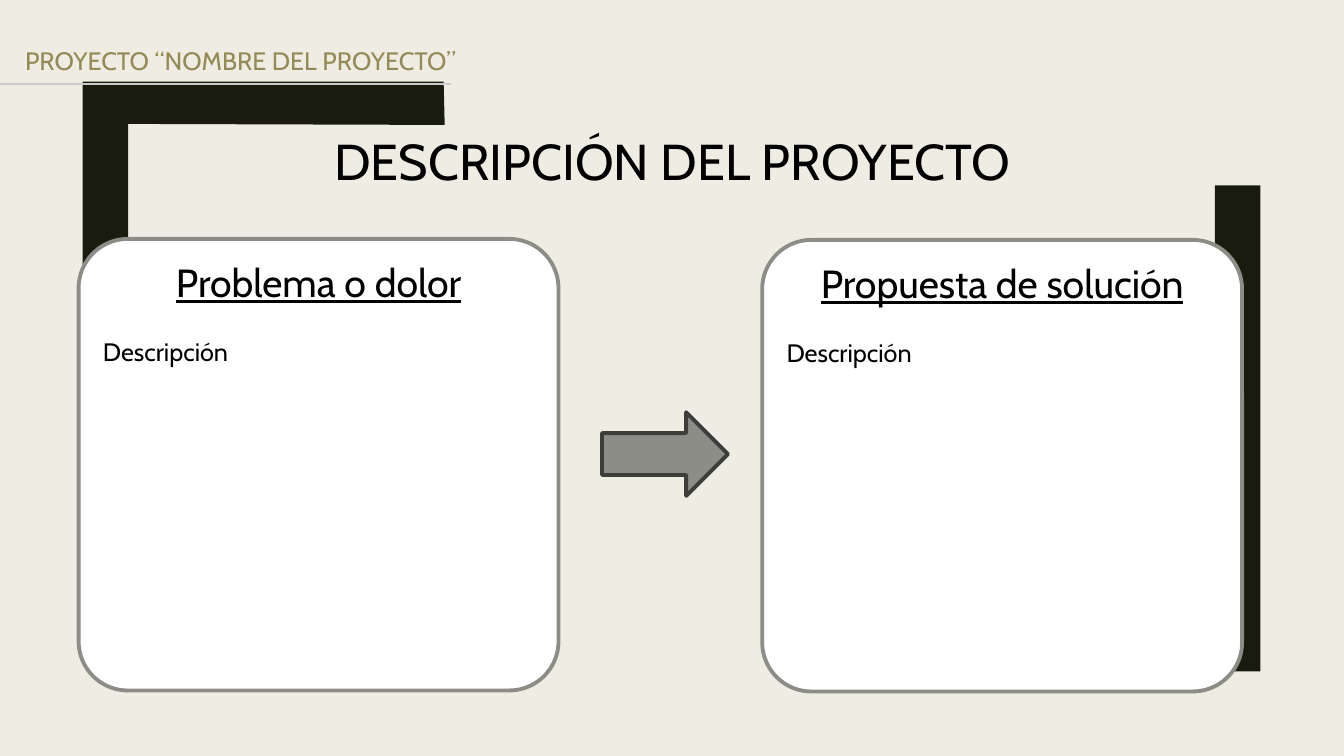
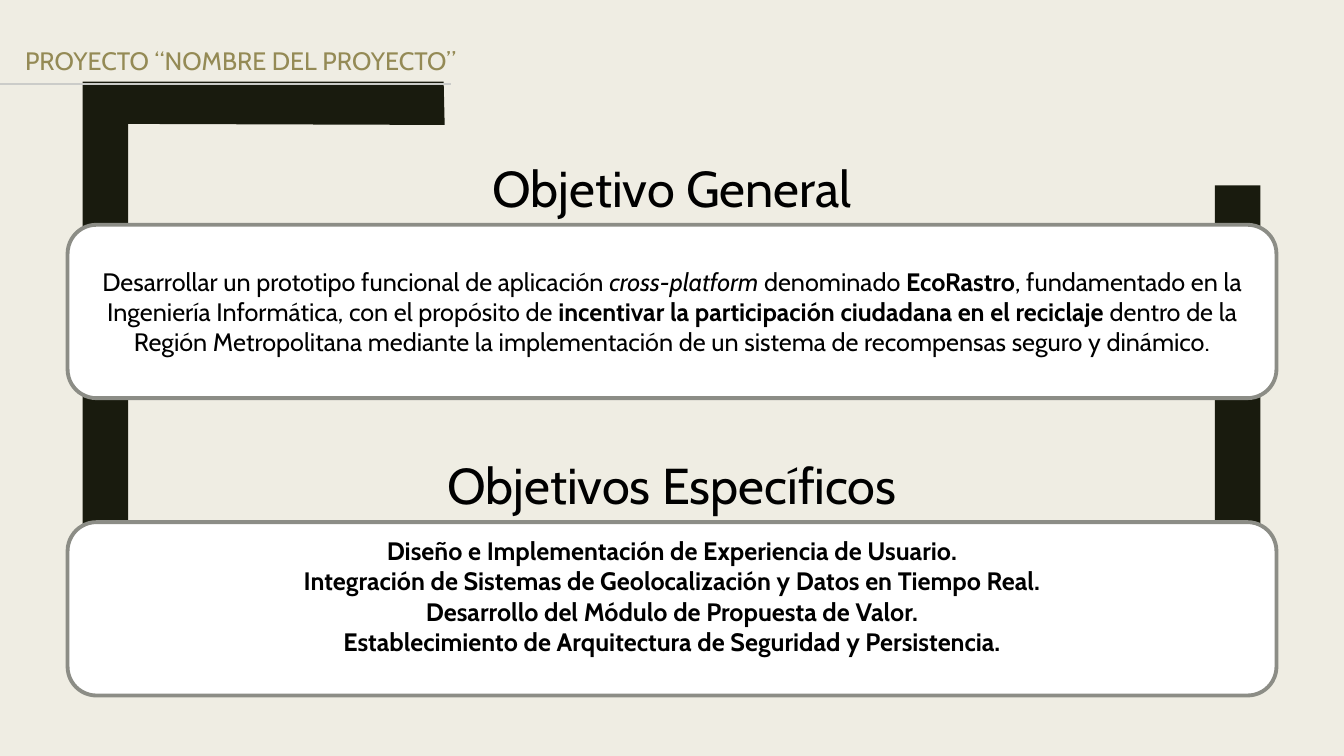
from dataclasses import dataclass
from typing import NamedTuple

from lxml import etree
from pptx import Presentation
from pptx import util as u
from pptx.dml.color import RGBColor
from pptx.enum import shapes, text
from pptx.oxml import ns

I = u.Inches
ALIGN = text.PP_ALIGN
ANCHOR = text.MSO_ANCHOR
SHAPE = shapes.MSO_SHAPE


@dataclass(frozen=True)
class Theme:
    font: str = "Cabin"
    background: str = "EFEDE3"
    bracket: str = "191B0E"
    header: str = "948A55"
    rule: str = "CBCCC9"
    ink: str = "000000"
    card: str = "FFFFFF"
    border: str = "8C8D86"
    arrow_border: str = "3D3E3B"
    title_size: float = 36
    heading_size: float = 28
    body_size: float = 18
    rule_width: float = 1.25
    border_width: float = 2.75


class Box(NamedTuple):
    left: float
    top: float
    width: float
    height: float


class Span(NamedTuple):
    text: str
    bold: bool = False
    italic: bool = False


@dataclass(frozen=True)
class Card:
    box: Box
    heading: str
    body: str


@dataclass(frozen=True)
class Objective:
    title: str
    title_top: float
    paragraphs: list[list[Span]]
    anchor: ANCHOR


T = Theme()
SLIDE_W, SLIDE_H = 13.33, 7.5
HEADER = "PROYECTO “NOMBRE DEL PROYECTO”"
BRACKETS = [
    [(12.05, 1.84), (12.5, 1.84), (12.5, 6.66),
     (8.92, 6.66), (8.92, 6.24), (12.05, 6.24)],
    [(1.27, 5.64), (0.82, 5.64), (0.82, 0.81),
     (4.4, 0.81), (4.41, 1.24), (1.27, 1.23)],
]
CARDS = [
    Card(Box(0.78, 2.37, 4.76, 4.48), "Problema o dolor", "Descripción"),
    Card(Box(7.56, 2.38, 4.76, 4.48), "Propuesta de solución", "Descripción"),
]
OBJECTIVES = [
    Objective("Objetivo General", 1.51, [[
        Span("Desarrollar un prototipo funcional de aplicación "),
        Span("cross-platform", italic=True),
        Span(" denominado "),
        Span("EcoRastro", bold=True),
        Span(", fundamentado en la Ingeniería Informática, con el propósito de "),
        Span("incentivar la participación ciudadana en el reciclaje", bold=True),
        Span(" dentro de la Región Metropolitana mediante la implementación "
             "de un sistema de recompensas seguro y dinámico."),
    ]], ANCHOR.MIDDLE),
    Objective("Objetivos Específicos", 4.46, [
        [Span("Diseño e Implementación de Experiencia de Usuario.", bold=True)],
        [Span("Integración de Sistemas de Geolocalización y Datos en Tiempo Real.", bold=True)],
        [Span("Desarrollo del Módulo de Propuesta de Valor.", bold=True)],
        [Span("Establecimiento de Arquitectura de Seguridad y Persistencia.", bold=True)],
    ], ANCHOR.TOP),
]


def rgb(color: str) -> RGBColor:
    return RGBColor.from_string(color)


def write(p, content: str, *, size: float = T.body_size, color: str = T.ink,
          bold: bool = False, italic: bool = False, underline: bool = False) -> None:
    r = p.add_run()
    r.text = content
    r.font.name = T.font
    r.font.size = u.Pt(size)
    r.font.color.rgb = rgb(color)
    r.font.bold = bold
    r.font.italic = italic
    r.font.underline = underline


def add_label(s, content: str, box: Box, *, size: float,
              color: str = T.ink, align: ALIGN = ALIGN.LEFT) -> None:
    tf = s.shapes.add_textbox(*map(I, box)).text_frame
    tf.word_wrap = True
    tf.auto_size = text.MSO_AUTO_SIZE.SHAPE_TO_FIT_TEXT
    p = tf.paragraphs[0]
    p.alignment = align
    write(p, content, size=size, color=color)


def add_title(s, content: str, top: float) -> None:
    add_label(s, content, Box(0, top, SLIDE_W, 0.71),
              size=T.title_size, align=ALIGN.CENTER)


def add_outlined(s, kind: SHAPE, box: Box, *, fill: str = T.card,
                 border: str = T.border):
    sp = s.shapes.add_shape(kind, *map(I, box))
    sp.shadow.inherit = False
    sp.fill.solid()
    sp.fill.fore_color.rgb = rgb(fill)
    sp.line.color.rgb = rgb(border)
    sp.line.width = u.Pt(T.border_width)
    return sp


def add_bracket(s, points: list[tuple[float, float]]) -> None:
    start, *rest = [(I(x), I(y)) for x, y in points]
    builder = s.shapes.build_freeform(*start, scale=1.0)
    builder.add_line_segments(rest, close=True)
    sp = builder.convert_to_shape()
    sp.shadow.inherit = False
    sp.fill.solid()
    sp.fill.fore_color.rgb = rgb(T.bracket)
    sp.line.fill.background()


def add_rule(s) -> None:
    line = s.shapes.add_connector(shapes.MSO_CONNECTOR.STRAIGHT,
                                  I(0), I(0.83), I(4.47), I(0.83))
    line.line.color.rgb = rgb(T.rule)
    line.line.width = u.Pt(T.rule_width)
    etree.SubElement(line._element.spPr, ns.qn("a:effectLst"))


def add_base(prs):
    s = prs.slides.add_slide(prs.slide_layouts[6])
    for points in BRACKETS:
        add_bracket(s, points)
    add_label(s, HEADER, Box(0.15, 0.4, SLIDE_W - 0.15, 0.4),
              size=T.body_size, color=T.header)
    add_rule(s)
    return s


def add_card(s, card: Card) -> None:
    sp = add_outlined(s, SHAPE.ROUNDED_RECTANGLE, card.box)
    sp.adjustments[0] = 0.109
    tf = sp.text_frame
    tf.word_wrap = True
    tf.vertical_anchor = ANCHOR.TOP
    p = tf.paragraphs[0]
    p.alignment = ALIGN.CENTER
    write(p, card.heading, size=T.heading_size, underline=True)
    p = tf.add_paragraph()
    p.alignment = ALIGN.JUSTIFY
    p.space_before = u.Pt(22)
    write(p, card.body)


def add_objective(s, objective: Objective) -> None:
    add_title(s, objective.title, objective.title_top)
    box = Box(0.67, objective.title_top + 0.72, 11.99, 1.72)
    tf = add_outlined(s, SHAPE.ROUNDED_RECTANGLE, box).text_frame
    tf.word_wrap = True
    tf.vertical_anchor = objective.anchor
    for i, spans in enumerate(objective.paragraphs):
        p = tf.add_paragraph() if i else tf.paragraphs[0]
        p.alignment = ALIGN.CENTER
        for span in spans:
            write(p, span.text, bold=span.bold, italic=span.italic)


def build_description(prs) -> None:
    s = add_base(prs)
    add_title(s, "DESCRIPCIÓN DEL PROYECTO", 1.24)
    for card in CARDS:
        add_card(s, card)
    add_outlined(s, SHAPE.RIGHT_ARROW, Box(5.97, 4.09, 1.25, 0.83),
                 fill=T.border, border=T.arrow_border)


def build_objectives(prs) -> None:
    s = add_base(prs)
    for objective in OBJECTIVES:
        add_objective(s, objective)


def main() -> None:
    prs = Presentation()
    prs.slide_width, prs.slide_height = I(SLIDE_W), I(SLIDE_H)
    fill = prs.slide_master.background.fill
    fill.solid()
    fill.fore_color.rgb = rgb(T.background)
    build_description(prs)
    build_objectives(prs)
    prs.save("out.pptx")


if __name__ == "__main__":
    main()
